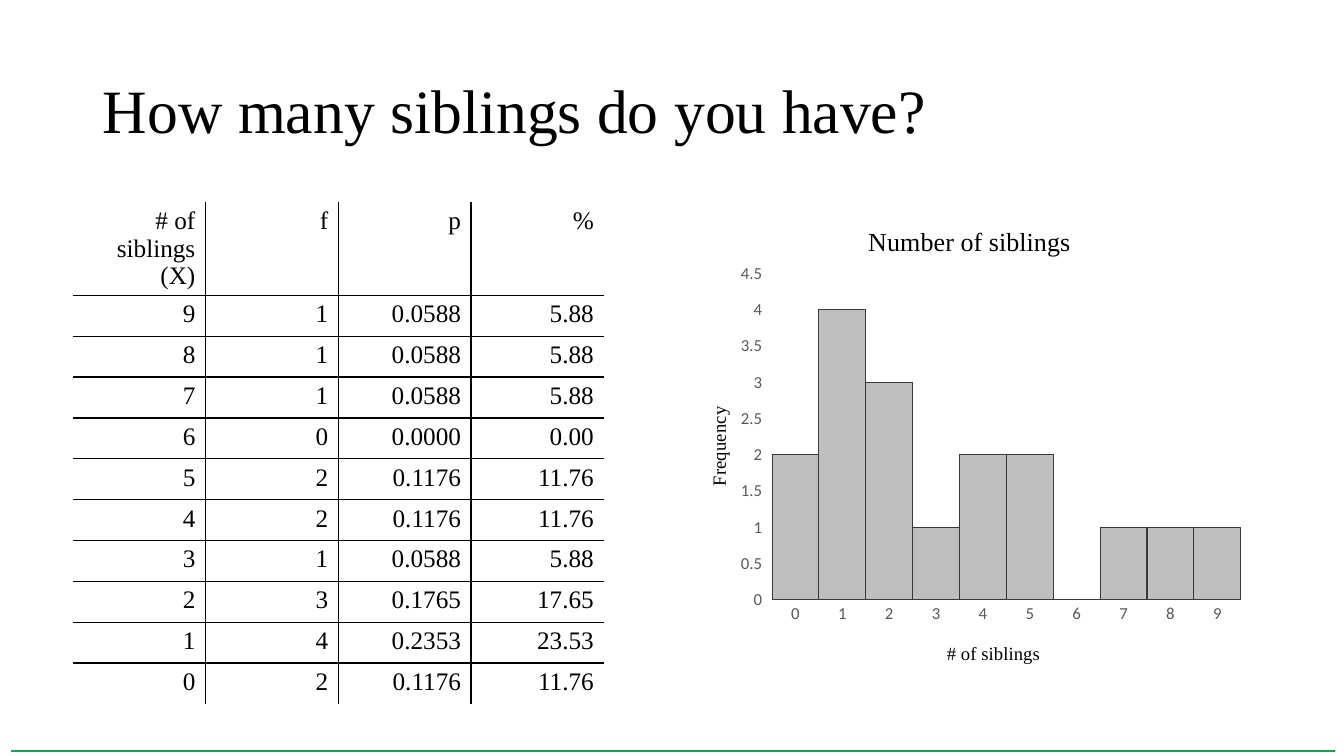
from lxml import etree
from pptx import Presentation, util as u
from pptx.chart.data import CategoryChartData
from pptx.dml.color import RGBColor
from pptx.enum import chart as charts, shapes, text
from pptx.oxml import parse_xml
from pptx.oxml.ns import nsdecls, qn

COLORS = {"ink": "000000", "axis_text": "595959", "axis_line": "D9D9D9",
          "bar": "BFBFBF", "bar_line": "3B3838", "rule": "00B050"}
SERIF = "Times New Roman"
FREQUENCIES = [2, 4, 3, 1, 2, 2, 0, 1, 1, 1]


def color(name):
    """Return the named colour."""
    return RGBColor.from_string(COLORS[name])


def set_font(font, size, name=SERIF, ink="ink"):
    """Apply size, typeface and colour to a font."""
    font.size, font.name, font.bold = u.Pt(size), name, False
    font.color.rgb = color(ink)


def set_line(line, name, width):
    """Apply a solid colour and width to a line."""
    line.color.rgb = color(name)
    line.width = u.Pt(width)


def add_title(slide, box, wording):
    """Place and format the slide title."""
    title = slide.shapes.title
    title.left, title.top, title.width, title.height = map(u.Inches, box)
    title.text_frame.text = wording
    title.text_frame.vertical_anchor = text.MSO_ANCHOR.MIDDLE
    paragraph = title.text_frame.paragraphs[0]
    paragraph.alignment = text.PP_ALIGN.LEFT
    paragraph.line_spacing = 0.9
    set_font(paragraph.font, 44)


def set_borders(cell, visible):
    """Draw the cell's visible sides and clear the others."""
    properties = cell._tc.get_or_add_tcPr()
    for index, side in enumerate("LRTB"):
        fill = (f'<a:solidFill><a:srgbClr val="{COLORS["ink"]}"/></a:solidFill>'
                if side in visible else "<a:noFill/>")
        properties.insert(index, parse_xml(
            f'<a:ln{side} w="12700" {nsdecls("a")}>{fill}</a:ln{side}>'))


def add_frequency_table(slide, box):
    """List frequency, proportion and percentage, with inner rules only."""
    total = sum(FREQUENCIES)
    rows = [["# of siblings (X)", "f", "p", "%"]]
    for siblings, count in reversed(list(enumerate(FREQUENCIES))):
        share = count / total
        rows.append([str(siblings), str(count), f"{share:.4f}", f"{share * 100:.2f}"])
    last_row, last_column = len(rows) - 1, len(rows[0]) - 1
    table = slide.shapes.add_table(len(rows), len(rows[0]), *map(u.Inches, box)).table
    table.first_row = table.horz_banding = False
    for row in table.rows:
        row.height = u.Inches(box[3] / len(rows))
    for r, row in enumerate(rows):
        for c, wording in enumerate(row):
            cell = table.cell(r, c)
            cell.text = wording
            cell.fill.background()
            sides = {"L": c > 0, "R": c < last_column, "T": r > 0, "B": r < last_row}
            set_borders(cell, [side for side, shown in sides.items() if shown])
            paragraph = cell.text_frame.paragraphs[0]
            paragraph.alignment = text.PP_ALIGN.RIGHT
            set_font(paragraph.font, 18)


def set_layout(element, before, **shares):
    """Place a chart part by shares of the chart, ahead of the named elements."""
    for old in element.findall(qn("c:layout")):
        element.remove(old)
    layout = etree.Element(qn("c:layout"))
    manual = etree.SubElement(layout, qn("c:manualLayout"))
    if "w" in shares:
        etree.SubElement(manual, qn("c:layoutTarget")).set("val", "inner")
    for key in ("xMode", "yMode"):
        etree.SubElement(manual, qn(f"c:{key}")).set("val", "edge")
    for key, share in shares.items():
        etree.SubElement(manual, qn(f"c:{key}")).set("val", str(share))
    next(child for child in element if child.tag in map(qn, before)).addprevious(layout)


def add_chart_title(owner, wording, size, x, y):
    """Title a chart or axis at a share of the chart's box."""
    title = owner.chart_title if hasattr(owner, "chart_title") else owner.axis_title
    title.text_frame.text = wording
    set_font(title.text_frame.paragraphs[0].font, size)
    set_layout(title._element, ["c:overlay"], x=x, y=y)


def add_histogram(slide, box):
    """Chart the frequencies as touching columns."""
    data = CategoryChartData()
    data.categories = [str(siblings) for siblings in range(len(FREQUENCIES))]
    data.add_series("Series 1", FREQUENCIES)
    chart = slide.shapes.add_chart(charts.XL_CHART_TYPE.COLUMN_CLUSTERED,
                                   *map(u.Inches, box), data).chart
    set_font(chart.font, 10, "Calibri")
    chart.has_legend = False
    add_chart_title(chart, "Number of siblings", 18.6, 0.32, 0.04)
    add_chart_title(chart.category_axis, "# of siblings", 13.3, 0.46, 0.91)
    add_chart_title(chart.value_axis, "Frequency", 13.3, 0.04, 0.42)
    for axis in (chart.category_axis, chart.value_axis):
        set_font(axis.tick_labels.font, 12, "Calibri", "axis_text")
        axis.has_major_gridlines = False
    chart.category_axis.major_tick_mark = charts.XL_TICK_MARK.NONE
    set_line(chart.category_axis.format.line, "axis_line", 0.75)
    values = chart.value_axis
    values.minimum_scale, values.maximum_scale, values.major_unit = 0, 4.5, 0.5
    values.tick_labels.number_format = "General"
    values.tick_labels.number_format_is_linked = False
    values.format.line.fill.background()
    plot = chart.plots[0]
    plot.gap_width = 0
    plot.vary_by_categories = False
    bars = plot.series[0].format
    bars.fill.solid()
    bars.fill.fore_color.rgb = color("bar")
    set_line(bars.line, "bar_line", 0.75)
    plot_area = chart._chartSpace.chart.plotArea
    set_layout(plot_area, ["c:barChart"], x=0.16, y=0.15, w=0.82, h=0.68)


def add_rule(slide, left, right, y):
    """Draw the green rule along the foot of the slide."""
    rule = slide.shapes.add_connector(shapes.MSO_CONNECTOR.STRAIGHT,
                                      *map(u.Inches, (left, y, right, y)))
    set_line(rule.line, "rule", 2)
    etree.SubElement(rule._element.spPr, qn("a:effectLst"))


def main():
    """Build and save the slide."""
    presentation = Presentation()
    presentation.slide_width, presentation.slide_height = u.Inches(13.33), u.Inches(7.5)
    slide = presentation.slides.add_slide(presentation.slide_layouts[5])
    add_title(slide, (0.92, 0.4, 11.5, 1.45), "How many siblings do you have?")
    add_frequency_table(slide, (0.72, 2, 5.27, 4.46))
    add_histogram(slide, (6.75, 2, 5.67, 4.76))
    add_rule(slide, 0.11, 13.24, 7.45)
    presentation.save("out.pptx")


if __name__ == "__main__":
    main()
